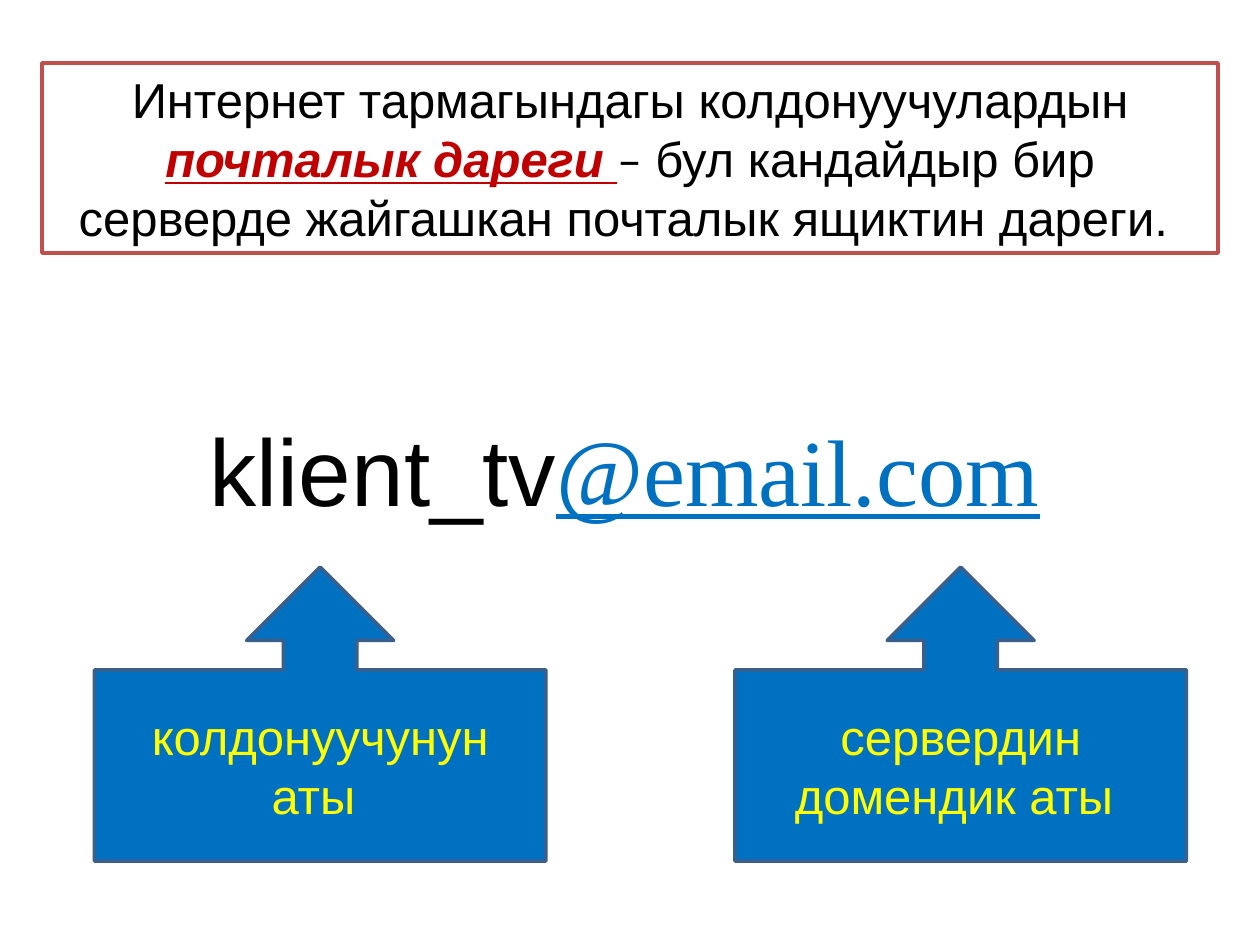
from dataclasses import dataclass

from pptx import Presentation
from pptx.dml.color import RGBColor
from pptx.enum.shapes import MSO_SHAPE as Shape
from pptx.enum.text import MSO_ANCHOR as Anchor, MSO_AUTO_SIZE as AutoSize, PP_ALIGN as Align
from pptx.util import Pt

EMU_PER_PX = 7620


def px(value):
    return value * EMU_PER_PX


@dataclass(frozen=True)
class Theme:
    white: str = "FFFFFF"
    black: str = "000000"
    border: str = "C0504D"
    accent: str = "C00000"
    blue: str = "0070C0"
    outline: str = "3A5F8C"
    yellow: str = "FFFF00"
    body_size: int = 28
    address_size: int = 54
    line_width: int = 2
    font: str = "Arial"
    dash_font: str = "Calibri"
    domain_font: str = "Times New Roman"


@dataclass
class SlideBuilder:
    theme: Theme
    slide: object

    def add_text(self, shape, size, runs, grow=False):
        frame = shape.text_frame
        frame.word_wrap = True
        frame.vertical_anchor = Anchor.MIDDLE
        if grow:
            frame.auto_size = AutoSize.SHAPE_TO_FIT_TEXT
        paragraph = frame.paragraphs[0]
        paragraph.alignment = Align.CENTER
        for text, color, font, *emphasis in runs:
            run = paragraph.add_run()
            run.text = text
            run.font.size = Pt(size)
            run.font.name = font
            run.font.color.rgb = RGBColor.from_string(color)
            run.font.bold = "bold" in emphasis
            run.font.italic = "italic" in emphasis
            run.font.underline = "underline" in emphasis

    def panel(self, kind, box, fill, line, runs, grow=False):
        shape = self.slide.shapes.add_shape(kind, *map(px, box))
        shape.shadow.inherit = False
        shape.fill.solid()
        shape.fill.fore_color.rgb = RGBColor.from_string(fill)
        shape.line.color.rgb = RGBColor.from_string(line)
        shape.line.width = Pt(self.theme.line_width)
        self.add_text(shape, self.theme.body_size, runs, grow)

    def definition(self, box, runs):
        self.panel(Shape.RECTANGLE, box, self.theme.white, self.theme.border, runs, grow=True)

    def callout(self, box, text):
        theme = self.theme
        runs = [(text, theme.yellow, theme.font)]
        self.panel(Shape.UP_ARROW_CALLOUT, box, theme.blue, theme.outline, runs)

    def address(self, box, runs):
        shape = self.slide.shapes.add_textbox(*map(px, box))
        self.add_text(shape, self.theme.address_size, runs, grow=True)


def main():
    presentation = Presentation()
    presentation.slide_width = px(1200)
    presentation.slide_height = px(900)
    theme = Theme()
    slide = presentation.slides.add_slide(presentation.slide_layouts[6])
    builder = SlideBuilder(theme, slide)

    builder.definition((40, 60, 1120, 181), [
        ("Интернет тармагындагы колдонуучулардын ", theme.black, theme.font),
        ("почталык дареги ", theme.accent, theme.font, "bold", "italic", "underline"),
        ("–", theme.black, theme.dash_font),
        (" бул кандайдыр бир серверде жайгашкан почталык ящиктин дареги. ", theme.black, theme.font),
    ])
    builder.address((0, 386, 1190, 121), [
        ("klient_tv", theme.black, theme.font),
        ("@email.com", theme.blue, theme.domain_font, "underline"),
    ])
    for left, text in ((90, "колдонуучунун аты "), (700, "сервердин домендик аты ")):
        builder.callout((left, 540, 430, 280), text)

    presentation.save("out.pptx")


if __name__ == "__main__":
    main()
